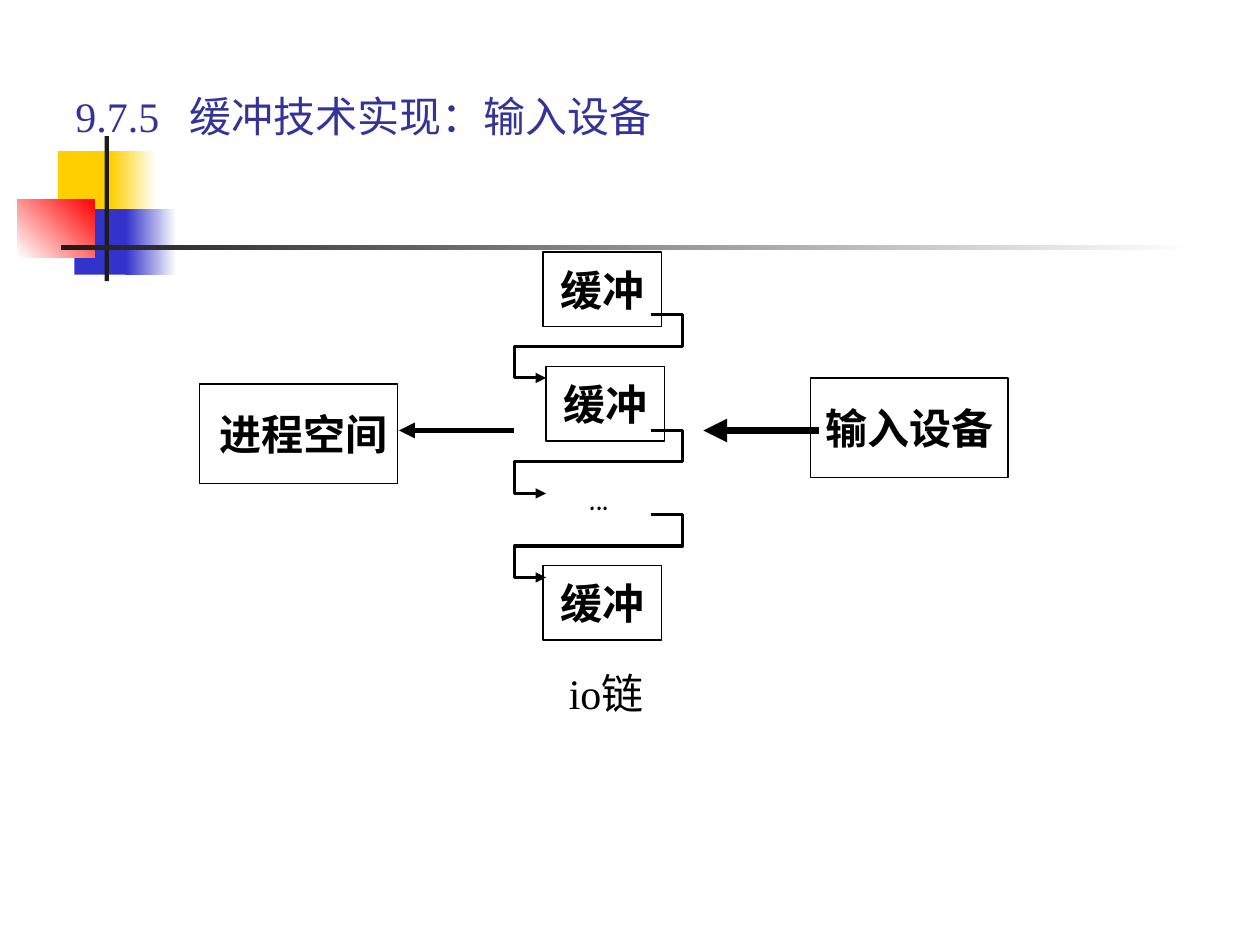
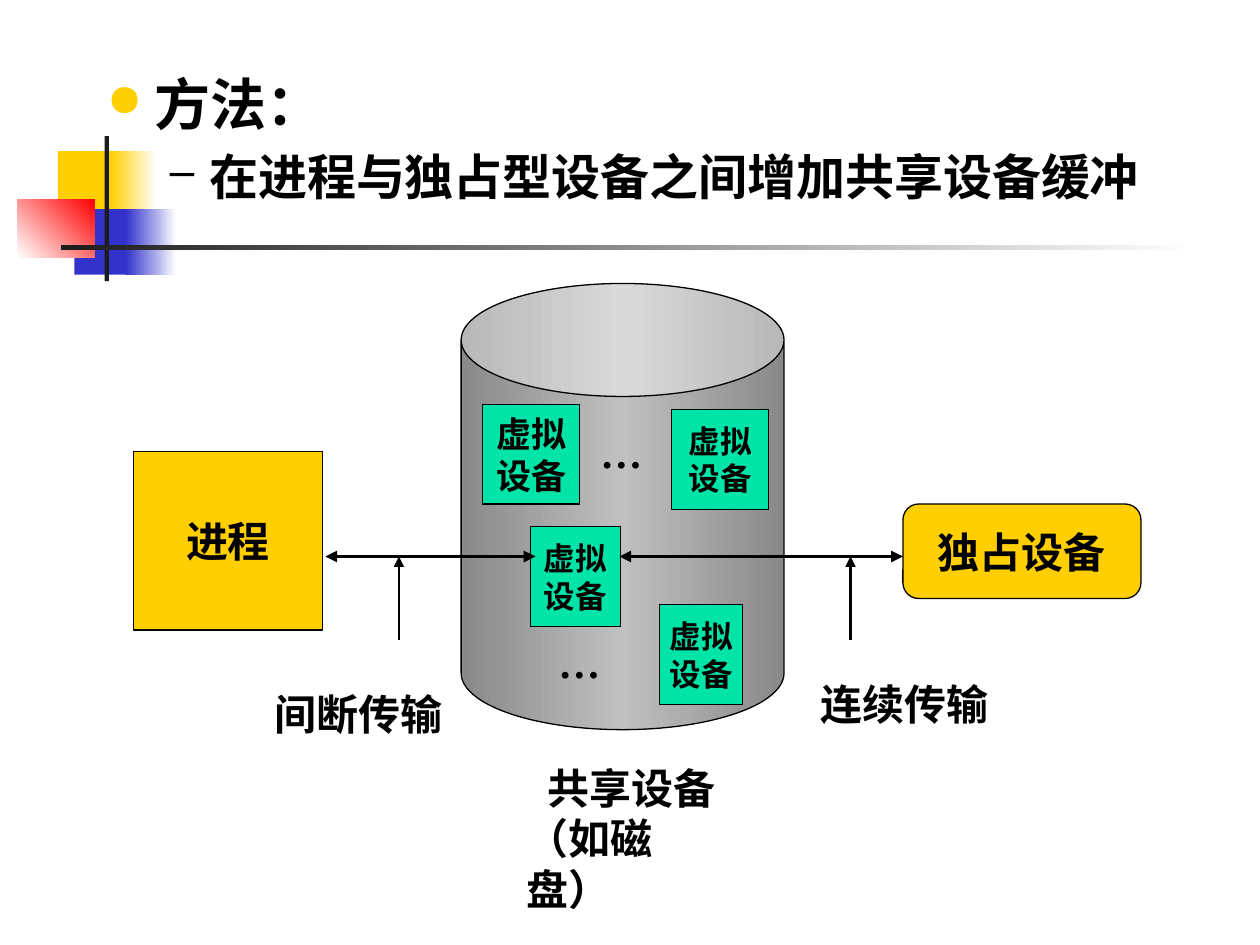
from typing import NamedTuple, Optional, Sequence

from lxml.etree import SubElement
from pptx import Presentation
from pptx.dml.color import RGBColor
from pptx.enum.shapes import MSO_CONNECTOR, MSO_SHAPE
from pptx.enum.text import MSO_ANCHOR, PP_ALIGN
from pptx.oxml.ns import qn
from pptx.util import Pt

BLACK, WHITE, CHARCOAL = "000000", "FFFFFF", "1C1C1C"
YELLOW, BLUE, RED, GREEN = "FFCF01", "3333CC", "FF0000", "00E4A8"
TITLE_BLUE, DARK_GREY, LIGHT_GREY = "333399", "898989", "C0C0C0"
SERIF, SANS, COMIC = "Times New Roman", "Lato", "Comic Neue"
DEFAULT_INSETS = (7.2, 3.6, 7.2, 3.6)
TILE_INSETS = (1.44, 3.6, 1.44, 3.6)


class Frame(NamedTuple):
    left: float
    top: float
    width: float
    height: float


class Band(NamedTuple):
    frame: Frame
    colors: tuple[str, ...]
    angle: int = 0


class Node(NamedTuple):
    frame: Frame
    lines: tuple[str, ...]
    fill: str = WHITE
    size: float = 24
    font: str = SERIF
    kind: int = MSO_SHAPE.RECTANGLE
    insets: tuple[float, ...] = DEFAULT_INSETS


class Label(NamedTuple):
    frame: Frame
    text: str
    bold: bool = True
    font: str = SERIF
    color: str = BLACK
    indent: float = 0
    tab: Optional[float] = None


class Arrow(NamedTuple):
    start: tuple[float, float]
    end: tuple[float, float]
    width: float
    ends: tuple[str, ...]


class Bullet(NamedTuple):
    text: str
    size: float
    mark: str
    mark_color: str
    mark_percent: int
    margin: float
    hanging: float
    space_before: float


BANDS = (
    Band(Frame(33.1, 86.4, 34.6, 37.4), (YELLOW,)),
    Band(Frame(63.4, 86.4, 25.9, 37.4), (YELLOW, WHITE)),
    Band(Frame(42.5, 119.5, 33.1, 37.4), (BLUE,)),
    Band(Frame(72, 119.5, 28.8, 37.4), (BLUE, WHITE)),
    Band(Frame(10.1, 113.8, 43.9, 33.1), (WHITE, RED), 315),
    Band(Frame(59.8, 77.8, 2.5, 82.8), (CHARCOAL,)),
    Band(Frame(34.6, 140.2, 648, 2.5), (CHARCOAL, WHITE)),
)

BUFFER_NODES = (
    Node(Frame(114, 219.5, 113, 57), ("进程空间",), insets=(13.2, 3.6, 7.2, 3.6)),
    Node(Frame(310.3, 144, 67.7, 42.5), ("缓冲",)),
    Node(Frame(463, 216, 113, 57), ("输入设备",)),
    Node(Frame(312, 209.5, 67.7, 42.5), ("缓冲",)),
    Node(Frame(310.3, 323.3, 67.7, 42.5), ("缓冲",)),
)
BUFFER_ARROWS = (
    Arrow((228, 246), (294, 246), 3, ("headEnd",)),
    Arrow((402, 246), (468, 246), 4.5, ("headEnd",)),
)
CHAIN_TOPS = (180, 294, 246)
BUFFER_LABELS = (
    Label(Frame(36, 48, 366, 36), "9.7.5\t缓冲技术实现：输入设备", False,
          color=TITLE_BLUE, tab=65),
    Label(Frame(330, 264, 42, 36), "...", False, COMIC),
    Label(Frame(318, 378, 72, 36), "io链", False),
)

METHOD_BULLETS = (
    Bullet("方法：", 32, "●", YELLOW, 80, 27, 27, 0),
    Bullet("在进程与独占型设备之间增加共享设备缓冲", 28, "–", BLACK, 90, 58.5, 22.5, 5.6),
)
VIRTUAL_DEVICE = ("虚拟", "设备")
DEVICE_NODES = (
    Node(Frame(275.8, 231, 55.4, 57), VIRTUAL_DEVICE, GREEN, 20, insets=TILE_INSETS),
    *(Node(frame, VIRTUAL_DEVICE, GREEN, 18, SANS, insets=TILE_INSETS)
      for frame in (Frame(383.8, 234, 55.4, 57),
                    Frame(303, 301, 51.5, 57),
                    Frame(377, 345.5, 47.5, 57))),
    Node(Frame(76.3, 257.8, 108, 102.2), ("进程",), YELLOW),
    Node(Frame(516, 288, 136, 54), ("独占设备",), YELLOW, kind=MSO_SHAPE.ROUNDED_RECTANGLE),
)
DEVICE_ARROWS = (
    Arrow((186, 318), (306, 318), 2.25, ("headEnd", "tailEnd")),
    Arrow((354, 318), (516, 318), 2.25, ("headEnd", "tailEnd")),
    Arrow((228, 366), (228, 318), 1.5, ("tailEnd",)),
    Arrow((486, 366), (486, 318), 1.5, ("tailEnd",)),
)
DEVICE_LABELS = (
    Label(Frame(294, 432, 126, 65), "共享设备（如磁盘）", indent=12),
    Label(Frame(150, 390, 126, 36), "间断传输"),
    Label(Frame(462, 384, 126, 36), "连续传输"),
    Label(Frame(312, 360, 54, 36), "…"),
    Label(Frame(336, 240, 36, 36), "…"),
)


def rgb(color: str) -> RGBColor:
    return RGBColor.from_string(color)


def place(frame: Frame) -> list[Pt]:
    return [Pt(length) for length in frame]


def write(paragraph, text: str, *, size: float = 24, font: str = SERIF,
          color: str = BLACK, bold: bool = True, align=PP_ALIGN.LEFT) -> None:
    paragraph.alignment = align
    span = paragraph.add_run()
    span.text = text
    span.font.size = Pt(size)
    span.font.name = font
    span.font.bold = bold
    span.font.color.rgb = rgb(color)


def paint(shape, colors: Sequence[str], angle: int = 0) -> None:
    """Fill with one colour, or with a gradient of evenly spaced colours."""
    if len(colors) == 1:
        shape.fill.solid()
        shape.fill.fore_color.rgb = rgb(colors[0])
        return
    shape.fill.gradient()
    gradient = shape._element.spPr.find(qn("a:gradFill"))
    for child in list(gradient):
        gradient.remove(child)
    stops = SubElement(gradient, qn("a:gsLst"))
    for index, color in enumerate(colors):
        position = 100000 * index // (len(colors) - 1)
        stop = SubElement(stops, qn("a:gs"), pos=str(position))
        SubElement(stop, qn("a:srgbClr"), val=color)
    SubElement(gradient, qn("a:lin"), ang=str(angle * 60000), scaled="0")


def outline(shape, width: float, ends: Sequence[str] = ()) -> None:
    """Draw a black line, with a triangle at each end named in ends."""
    shape.line.width = Pt(width)
    shape.line.fill.solid()
    shape.line.fill.fore_color.rgb = rgb(BLACK)
    line = shape._element.spPr.find(qn("a:ln"))
    for end in ends:
        SubElement(line, qn(f"a:{end}"), type="triangle")


def add_filled(page, frame: Frame, colors: Sequence[str], angle: int = 0,
               kind: int = MSO_SHAPE.RECTANGLE, border: float = 0):
    shape = page.shapes.add_shape(kind, *place(frame))
    shape.shadow.inherit = False
    paint(shape, colors, angle)
    if border:
        outline(shape, border)
    else:
        shape.line.fill.background()
    return shape


def add_node(page, node: Node) -> None:
    shape = add_filled(page, node.frame, (node.fill,), kind=node.kind, border=0.75)
    box = shape.text_frame
    box.word_wrap = False
    box.vertical_anchor = MSO_ANCHOR.MIDDLE
    box.margin_left, box.margin_top, box.margin_right, box.margin_bottom = map(Pt, node.insets)
    for index, text in enumerate(node.lines):
        paragraph = box.add_paragraph() if index else box.paragraphs[0]
        write(paragraph, text, size=node.size, font=node.font, align=PP_ALIGN.CENTER)


def add_text_box(page, frame: Frame):
    box = page.shapes.add_textbox(*place(frame)).text_frame
    box.word_wrap = True
    return box


def add_label(page, label: Label) -> None:
    paragraph = add_text_box(page, label.frame).paragraphs[0]
    properties = paragraph._p.get_or_add_pPr()
    if label.indent:
        properties.set("indent", str(Pt(label.indent)))
    if label.tab:
        tabs = SubElement(properties, qn("a:tabLst"))
        SubElement(tabs, qn("a:tab"), pos=str(Pt(label.tab)), algn="l")
    write(paragraph, label.text, font=label.font, color=label.color, bold=label.bold)


def add_arrow(page, arrow: Arrow) -> None:
    points = [Pt(length) for length in (*arrow.start, *arrow.end)]
    connector = page.shapes.add_connector(MSO_CONNECTOR.STRAIGHT, *points)
    outline(connector, arrow.width, arrow.ends)
    SubElement(connector._element.spPr, qn("a:effectLst"))


def add_chain_link(page, top: float) -> None:
    """Draw the bent arrow that leads from one buffer to the next."""
    middle, bottom = top + 18, top + 36
    corners = ((390, top), (390, middle), (294, middle), (294, bottom), (312, bottom))
    builder = page.shapes.build_freeform(Pt(372), Pt(top))
    builder.add_line_segments([(Pt(x), Pt(y)) for x, y in corners], close=False)
    link = builder.convert_to_shape()
    link.shadow.inherit = False
    link.fill.background()
    outline(link, 1.75, ("tailEnd",))


def add_bullets(page, frame: Frame, bullets: Sequence[Bullet]) -> None:
    box = add_text_box(page, frame)
    for level, bullet in enumerate(bullets):
        paragraph = box.add_paragraph() if level else box.paragraphs[0]
        paragraph.level = level
        properties = paragraph._p.get_or_add_pPr()
        properties.set("marL", str(Pt(bullet.margin)))
        properties.set("indent", str(-Pt(bullet.hanging)))
        color = SubElement(properties, qn("a:buClr"))
        SubElement(color, qn("a:srgbClr"), val=bullet.mark_color)
        SubElement(properties, qn("a:buSzPct"), val=str(bullet.mark_percent * 1000))
        SubElement(properties, qn("a:buChar"), char=bullet.mark)
        if bullet.space_before:
            paragraph.space_before = Pt(bullet.space_before)
        write(paragraph, bullet.text, size=bullet.size)


def add_page(deck):
    """Add a blank slide with the shared coloured squares and rules."""
    page = deck.slides.add_slide(deck.slide_layouts[6])
    for band in BANDS:
        add_filled(page, band.frame, band.colors, band.angle)
    return page


def add_diagram(page, nodes: Sequence[Node], arrows: Sequence[Arrow],
                labels: Sequence[Label]) -> None:
    for node in nodes:
        add_node(page, node)
    for arrow in arrows:
        add_arrow(page, arrow)
    for label in labels:
        add_label(page, label)


def build_input_buffer_page(deck) -> None:
    page = add_page(deck)
    add_diagram(page, BUFFER_NODES, BUFFER_ARROWS, BUFFER_LABELS)
    for top in CHAIN_TOPS:
        add_chain_link(page, top)


def build_shared_device_page(deck) -> None:
    page = add_page(deck)
    add_bullets(page, Frame(54, 36, 612, 96), METHOD_BULLETS)
    disk = add_filled(page, Frame(263.5, 162, 184.5, 255), (DARK_GREY, LIGHT_GREY, DARK_GREY),
                      kind=MSO_SHAPE.CAN, border=0.75)
    disk.adjustments[0] = 0.35
    add_diagram(page, DEVICE_NODES, DEVICE_ARROWS, DEVICE_LABELS)


def main() -> None:
    deck = Presentation()
    deck.slide_width, deck.slide_height = Pt(720), Pt(540)
    build_input_buffer_page(deck)
    build_shared_device_page(deck)
    deck.save("out.pptx")


if __name__ == "__main__":
    main()
